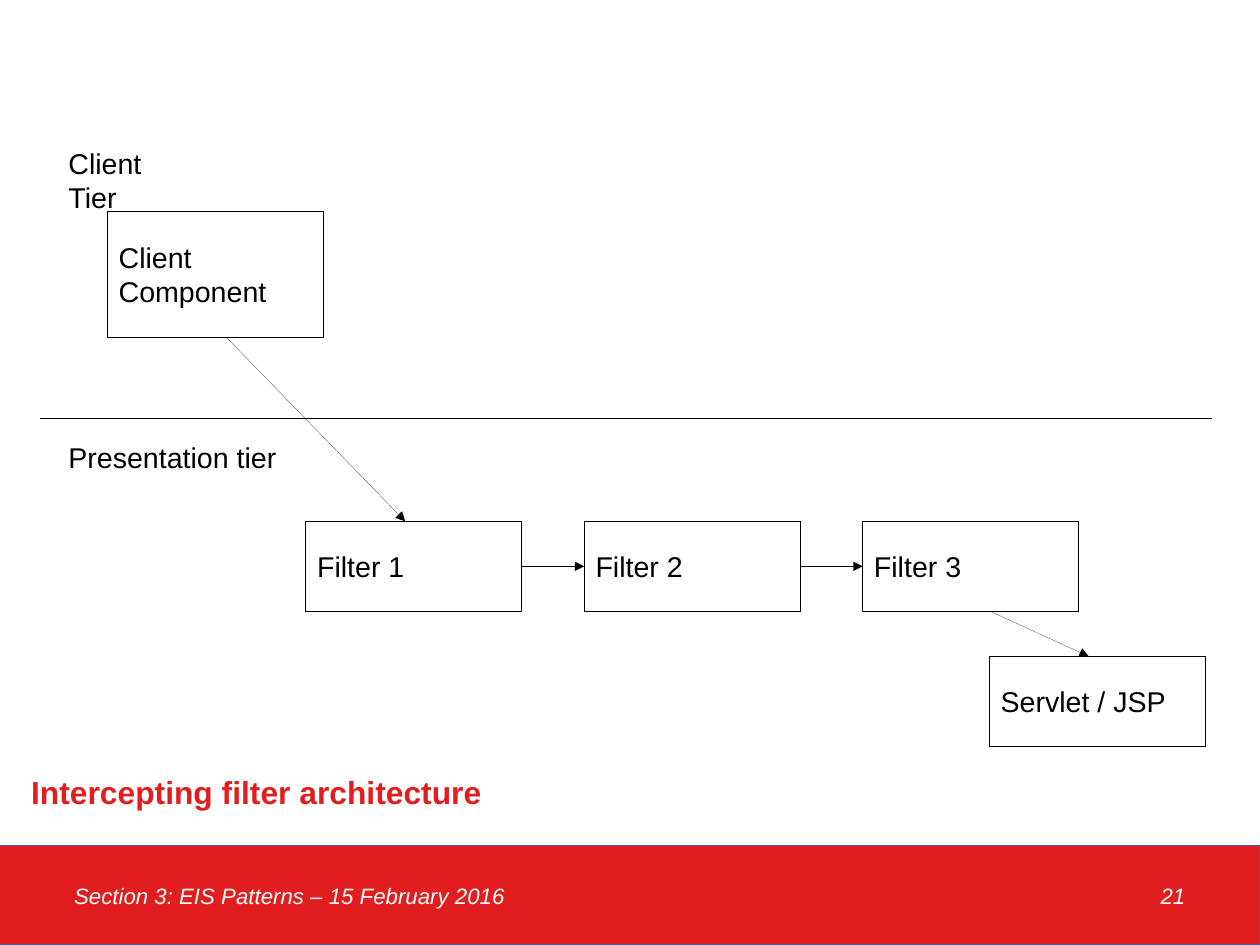
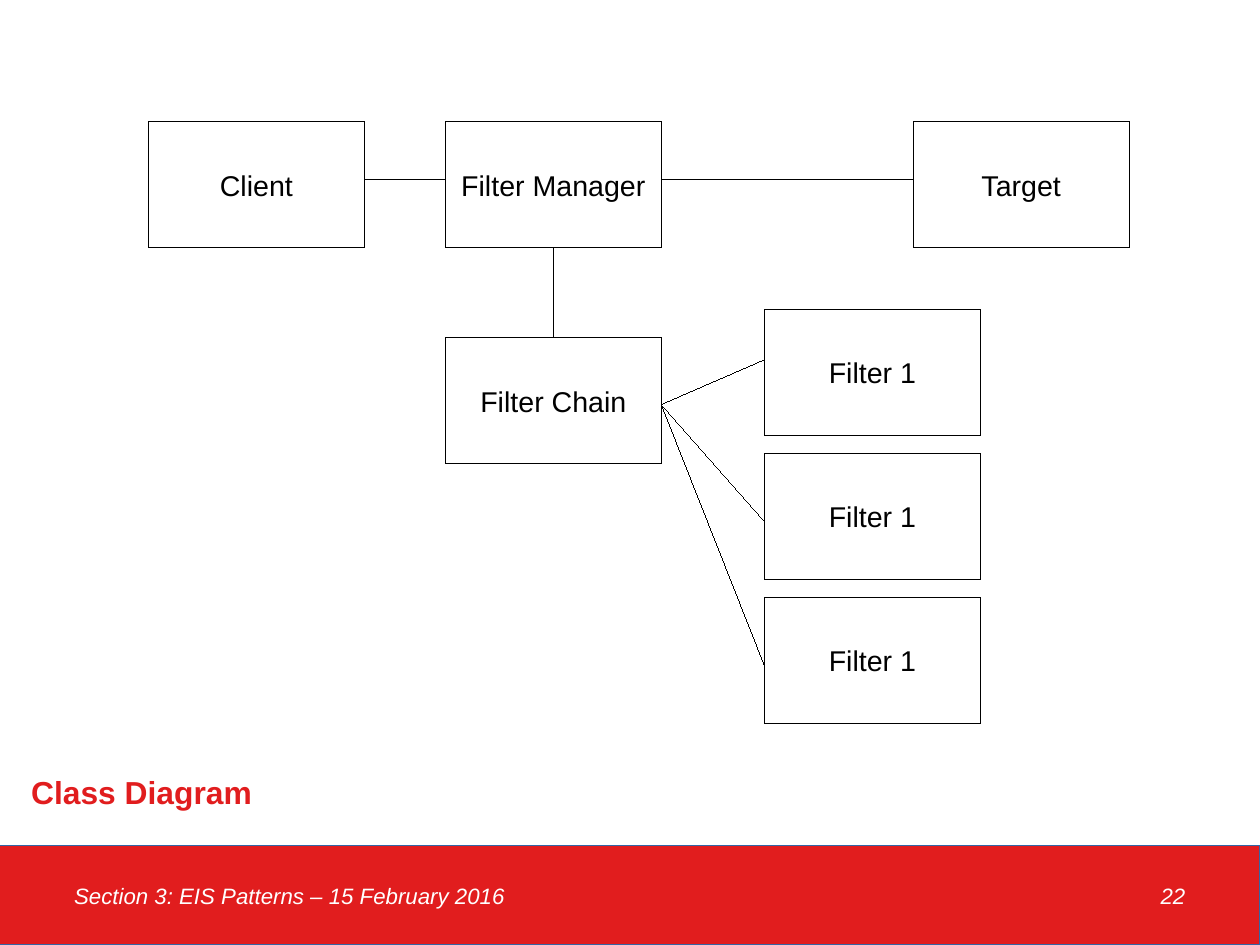
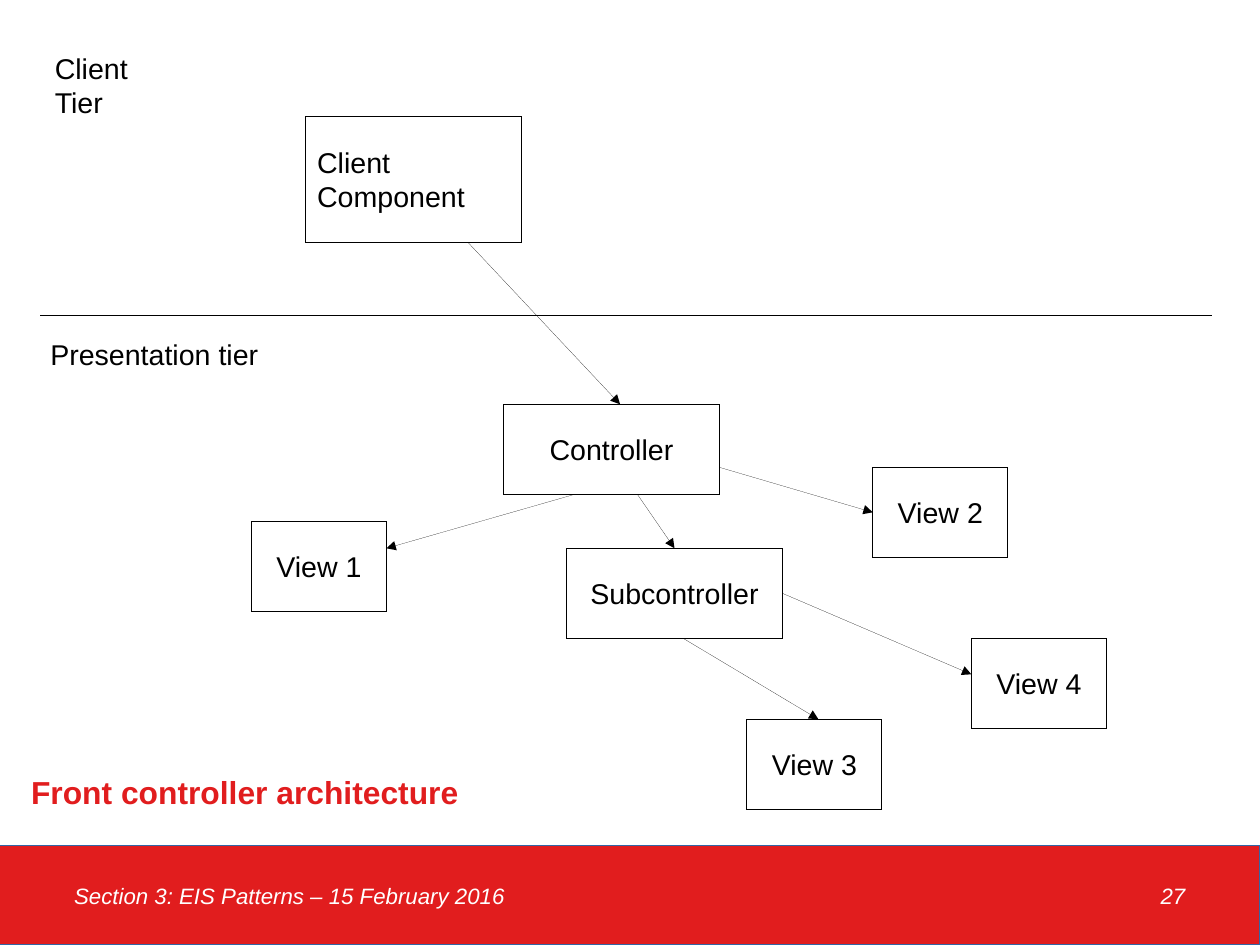
from dataclasses import dataclass

from pptx import Presentation
from pptx.dml.color import RGBColor
from pptx.enum.shapes import MSO_CONNECTOR, MSO_SHAPE
from pptx.enum.text import MSO_ANCHOR, MSO_AUTO_SIZE, PP_ALIGN
from pptx.oxml.ns import qn
from pptx.util import Pt
from lxml.etree import SubElement

# Shared style
FONT = "Arial"
RED, WHITE, BLACK, BLUE = "E11D1E", "FFFFFF", "000000", "3465A4"
LEFT, CENTER, RIGHT = PP_ALIGN.LEFT, PP_ALIGN.CENTER, PP_ALIGN.RIGHT
SLIDE_WIDTH, SLIDE_HEIGHT = 793.7, 595.28
FOOTER_TOP = 532.5
FOOTER = "Section 3: EIS Patterns – 15 February 2016"
TALL, LOW, SMALL = (136, 79.3), (136, 56.7), (85, 56.7)


@dataclass
class Area:
    """Box on the slide, in points."""
    left: float
    top: float
    width: float
    height: float

    def at(self, x, y, width, height):
        return [Pt(v) for v in (self.left + x, self.top + y, width, height)]


def color(value):
    return RGBColor.from_string(value)


def write(shape, text, size=18, ink=BLACK, align=LEFT, anchor=MSO_ANCHOR.MIDDLE,
          bold=False, italic=False, inset=(7.2, 3.6)):
    frame = shape.text_frame
    frame.word_wrap = True
    frame.auto_size = MSO_AUTO_SIZE.NONE
    frame.vertical_anchor = anchor
    frame.margin_left = frame.margin_right = Pt(inset[0])
    frame.margin_top = frame.margin_bottom = Pt(inset[1])
    para = frame.paragraphs[0]
    para.text = text
    para.alignment = align
    for span in para.runs:
        span.font.name, span.font.size = FONT, Pt(size)
        span.font.bold, span.font.italic = bold, italic
        span.font.color.rgb = color(ink)


def set_hairline(shape, ink):
    shape.line.color.rgb = color(ink)
    # The width setter drops a zero, which would bring back the theme's width
    shape.get_or_add_ln().set("w", "0")


def add_rectangle(page, place, fill, outline):
    box = page.shapes.add_shape(MSO_SHAPE.RECTANGLE, *place)
    box.shadow.inherit = False
    box.fill.solid()
    box.fill.fore_color.rgb = color(fill)
    set_hairline(box, outline)
    return box


def add_node(page, area, text, x, y, size, align=CENTER):
    box = add_rectangle(page, area.at(x, y, *size), WHITE, BLACK)
    write(box, text, align=align)
    return box


def add_label(page, area, text, x, y, width, height):
    box = page.shapes.add_textbox(*area.at(x, y, width, height))
    write(box, text, anchor=MSO_ANCHOR.TOP)


def add_line(page, start, end, arrow=False):
    line = page.shapes.add_connector(MSO_CONNECTOR.STRAIGHT, *start, *end)
    set_hairline(line, BLACK)
    if arrow:
        SubElement(line.get_or_add_ln(), qn("a:tailEnd"), type="triangle")
    SubElement(line.element.spPr, qn("a:effectLst"))


def edge(box, side, share=0.5):
    """Point on one side of a box, at a share of that side's length."""
    across, down = {"left": (0, share), "right": (1, share),
                    "top": (share, 0), "bottom": (share, 1)}[side]
    return int(box.left + across * box.width), int(box.top + down * box.height)


# Page frame: title and footer band
def add_page(deck, title, number):
    page = deck.slides.add_slide(deck.slide_layouts[5])
    heading = page.shapes.title
    heading.left, heading.top, heading.width, heading.height = [
        Pt(v) for v in (19.6, 471, 304, 56)]
    write(heading, title, 20, RED, bold=True, inset=(0, 0))
    add_footer(page, Area(0, FOOTER_TOP, SLIDE_WIDTH, SLIDE_HEIGHT - FOOTER_TOP), number)
    return page


def add_footer(page, area, number):
    add_rectangle(page, area.at(0, 0, area.width, area.height), RED, BLUE)
    for text, x, width, align in ((FOOTER, 39.6, 448, LEFT),
                                  (str(number), 505.4, 248.4, RIGHT)):
        box = page.shapes.add_textbox(*area.at(x, 0, width, area.height))
        write(box, text, 14, WHITE, align, italic=True)


# Client tier above a dividing line, presentation tier below
def add_tiers(page, area, divider, client_x, presentation):
    add_label(page, area, "Client Tier", client_x, 0, 95, 47.5)
    add_label(page, area, "Presentation tier", *presentation, 150, 27.4)
    x, y, width, _ = area.at(0, divider, area.width, 0)
    add_line(page, (x, y), (x + width, y))


def draw_intercepting_filter(page, area):
    add_tiers(page, area, 175.3, 10.2, (10.2, 185.5))
    client = add_node(page, area, "Client\nComponent", 41.9, 45, TALL, LEFT)
    filters = [add_node(page, area, f"Filter {i + 1}", 166.9 + i * 175.4, 240.3, LOW, LEFT)
               for i in range(3)]
    servlet = add_node(page, area, "Servlet / JSP", 597.5, 325.4, LOW, LEFT)
    add_line(page, edge(client, "bottom", 0.55), edge(filters[0], "top", 0.46), True)
    for source, target in zip(filters, filters[1:]):
        add_line(page, edge(source, "right"), edge(target, "left"), True)
    add_line(page, edge(filters[-1], "bottom", 0.59), edge(servlet, "top", 0.46), True)


def draw_class_diagram(page, area):
    client = add_node(page, area, "Client", 0, 0, TALL)
    manager = add_node(page, area, "Filter Manager", 187.1, 0, TALL)
    target = add_node(page, area, "Target", 481.8, 0, TALL)
    chain = add_node(page, area, "Filter Chain", 187.1, 136, TALL)
    for source, end in ((client, manager), (manager, target)):
        add_line(page, edge(source, "right", 0.46), edge(end, "left", 0.46))
    add_line(page, edge(manager, "bottom"), edge(chain, "top"))
    for i, share in enumerate((0.4, 0.54, 0.54)):
        item = add_node(page, area, "Filter 1", 388.1, 118.1 + i * 90.8, TALL)
        add_line(page, edge(chain, "right", 0.53), edge(item, "left", share))


def draw_front_controller(page, area):
    add_tiers(page, area, 170, 1.6, (-1.2, 180))
    client = add_node(page, area, "Client\nComponent", 166.9, 44.6, TALL, LEFT)
    controller = add_node(page, area, "Controller", 291.4, 226, LOW)
    subcontroller = add_node(page, area, "Subcontroller", 331.1, 316.7, LOW)
    views = [add_node(page, area, f"View {i}", x, y, SMALL) for i, (x, y) in enumerate(
        ((132.6, 299.7), (524, 265.7), (444.7, 424.4), (586.1, 373.4)), 1)]
    for source, side, share, target, end_side, end_share in (
            (client, "bottom", 0.75, controller, "top", 0.54),
            (controller, "bottom", 0.33, views[0], "right", 0.3),
            (controller, "right", 0.7, views[1], "left", 0.5),
            (controller, "bottom", 0.62, subcontroller, "top", 0.5),
            (subcontroller, "bottom", 0.54, views[2], "top", 0.53),
            (subcontroller, "right", 0.5, views[3], "left", 0.4)):
        add_line(page, edge(source, side, share), edge(target, end_side, end_share), True)


def main():
    deck = Presentation()
    deck.slide_width, deck.slide_height = Pt(SLIDE_WIDTH), Pt(SLIDE_HEIGHT)
    for title, number, draw, area in (
            ("Intercepting filter architecture", 21, draw_intercepting_filter,
             Area(25.8, 88.1, 737.6, 383)),
            ("Class Diagram", 22, draw_class_diagram, Area(93.5, 76.7, 618, 379)),
            ("Front controller architecture", 27, draw_front_controller,
             Area(25.8, 28.7, 737.6, 482))):
        draw(add_page(deck, title, number), area)
    deck.save("out.pptx")


if __name__ == "__main__":
    main()
